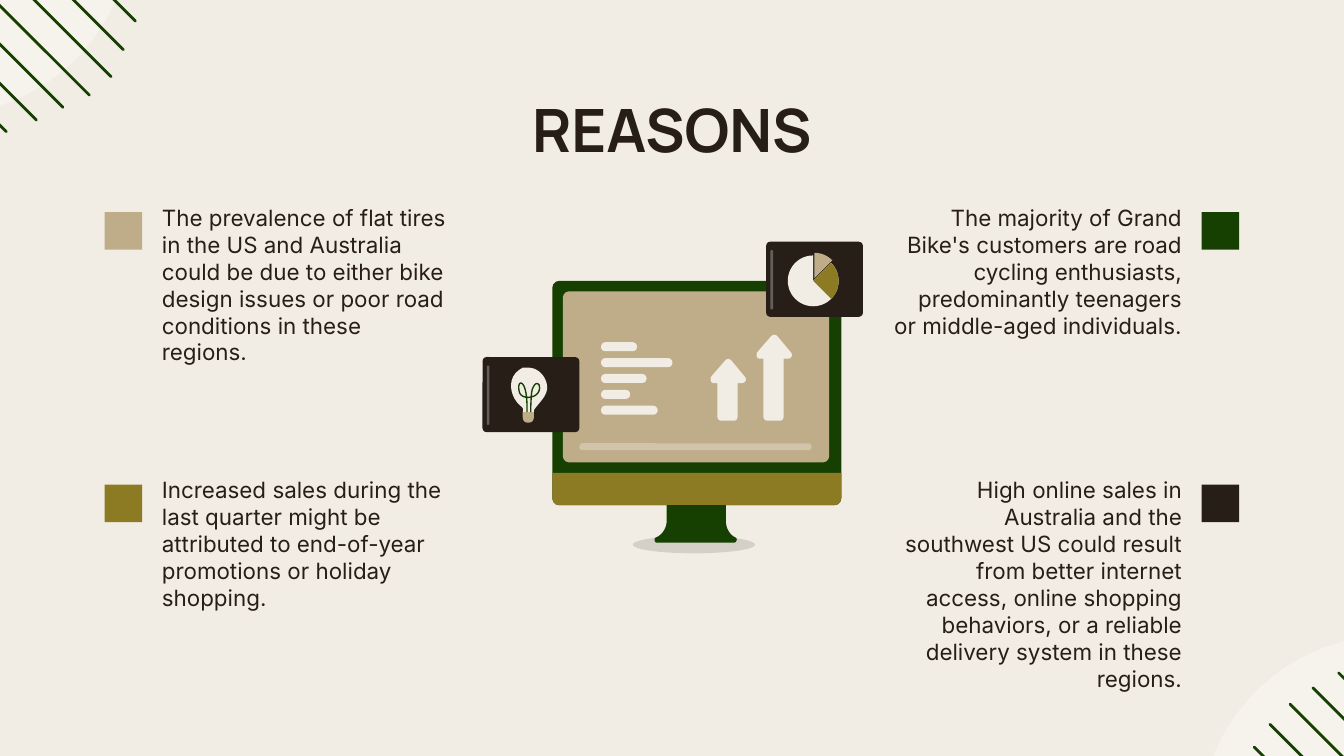
from math import cos, radians, sin

from lxml import etree
from pptx import Presentation
from pptx.dml.color import RGBColor
from pptx.enum.shapes import MSO_CONNECTOR, MSO_SHAPE
from pptx.enum.text import MSO_ANCHOR, PP_ALIGN
from pptx.oxml.ns import qn
from pptx.util import Cm, Pt

RECTANGLE, ROUNDED, OVAL = MSO_SHAPE.RECTANGLE, MSO_SHAPE.ROUNDED_RECTANGLE, MSO_SHAPE.OVAL
ROUND_BOTTOM = MSO_SHAPE.ROUND_2_SAME_RECTANGLE
STRAIGHT = MSO_CONNECTOR.STRAIGHT
LEFT, CENTER, RIGHT = PP_ALIGN.LEFT, PP_ALIGN.CENTER, PP_ALIGN.RIGHT
TOP, MIDDLE = MSO_ANCHOR.TOP, MSO_ANCHOR.MIDDLE

CREAM = RGBColor(0xF2, 0xED, 0xE4)
GREEN = RGBColor(0x15, 0x40, 0x01)
OLIVE = RGBColor(0x8C, 0x7B, 0x23)
TAN = RGBColor(0xBF, 0xAD, 0x8A)
DARK = RGBColor(0x26, 0x1E, 0x17)
WHITE = RGBColor(0xFF, 0xFF, 0xFF)
BLACK = RGBColor(0x00, 0x00, 0x00)

TITLE_FONT = {"name": "Manrope", "size": Pt(32), "bold": True}
BODY_FONT = {"name": "Inter", "size": Pt(12)}

STRIPES = [(0.56, 3.18, 4.34), (0.76, 2.59, 4.71), (1.02, 2.11, 4.95), (1.32, 1.68, 5.15),
           (1.7, 1.3, 5.18), (2.13, 0.99, 4.98), (2.62, 0.71, 4.72)]
BAR_WIDTHS = [0.68, 1.35, 0.86, 0.55, 1.07]
STAND = [(3.48, 5.28), (3.48, 4.98), (4.6, 4.98), (4.6, 5.28),
         (4.6, 5.41, 4.67, 5.54, 4.78, 5.59), (4.83, 5.61, 4.8, 5.69, 4.75, 5.69),
         (3.3, 5.69), (3.25, 5.69, 3.23, 5.61, 3.28, 5.59), (3.4, 5.54, 3.48, 5.41, 3.48, 5.28)]
BULB = [(0.86, 0.2), (0.84, 0.2, 0.79, 0.2, 0.76, 0.2), (0.41, 0.38, 0.53, 0.79, 0.74, 0.94),
        (0.79, 0.99, 0.76, 1.04, 0.76, 1.04), (0.97, 1.04),
        (0.94, 0.97, 1.19, 0.81, 1.22, 0.61), (1.24, 0.43, 1.09, 0.2, 0.86, 0.2)]
BULB_BASE = [(0.97, 1.04), (0.97, 1.14, 0.99, 1.24, 0.86, 1.24),
             (0.74, 1.24, 0.76, 1.12, 0.76, 1.04)]
FILAMENT = [(0.91, 1.04), (0.91, 1.04, 0.91, 0.71, 0.94, 0.61),
            (0.97, 0.53, 1.02, 0.46, 1.07, 0.53), (1.14, 0.79, 0.71, 0.84, 0.69, 0.64),
            (0.64, 0.41, 0.86, 0.38, 0.84, 1.04)]
REASONS = [
    (1.98, 3.61, TAN, LEFT, "The prevalence of flat tires in the US and Australia could be due to "
     "either bike design issues or poor road conditions in these regions."),
    (1.98, 8.76, OLIVE, LEFT, "Increased sales during the last quarter might be attributed to "
     "end-of-year promotions or holiday shopping."),
    (16.64, 3.61, GREEN, RIGHT, "The majority of Grand Bike's customers are road cycling "
     "enthusiasts, predominantly teenagers or middle-aged individuals."),
    (16.64, 8.76, DARK, RIGHT, "High online sales in Australia and the southwest US could result "
     "from better internet access, online shopping behaviors, or a reliable delivery system in "
     "these regions."),
]


def paint(shape, color, opacity=None):
    """Give a shape a plain fill with no line or shadow."""
    shape.shadow.inherit = False
    shape.fill.solid()
    shape.fill.fore_color.rgb = color
    shape.line.fill.background()
    if opacity is not None:
        node = shape.fill._xPr.find(".//" + qn("a:srgbClr"))
        etree.SubElement(node, qn("a:alpha"), val=str(opacity * 1000))


def add_block(slide, kind, left, top, width, height, color, radius=0, opacity=None):
    """Add a filled preset shape with an optional corner radius."""
    shape = slide.shapes.add_shape(kind, Cm(left), Cm(top), Cm(width), Cm(height))
    paint(shape, color, opacity)
    ratio = radius / min(width, height)
    if kind == ROUNDED:
        shape.adjustments[0] = ratio
    elif kind == ROUND_BOTTOM:
        shape.adjustments[0], shape.adjustments[1] = 0, ratio


def flatten(outline, steps=12):
    """Turn points and cubic curve segments into a list of points."""
    points = [outline[0]]
    for segment in outline[1:]:
        if len(segment) == 2:
            points.append(segment)
            continue
        controls = [points[-1], segment[:2], segment[2:4], segment[4:]]
        for step in range(1, steps + 1):
            t = step / steps
            weights = [(1 - t) ** 3, 3 * t * (1 - t) ** 2, 3 * t * t * (1 - t), t ** 3]
            points.append(tuple(sum(w * c[axis] for w, c in zip(weights, controls))
                                for axis in (0, 1)))
    return points


def add_outline(slide, left, top, outline, color, closed=True):
    """Add an outline, filled when closed and stroked when open."""
    points = [(Cm(left + x), Cm(top + y)) for x, y in flatten(outline)]
    builder = slide.shapes.build_freeform(*points[0])
    builder.add_line_segments(points[1:], close=closed)
    shape = builder.convert_to_shape()
    paint(shape, color)
    if not closed:
        shape.fill.background()
        shape.line.color.rgb = color
        shape.line.width = Pt(0.75)


def add_text(slide, left, top, width, height, text, font, alignment, anchor):
    """Add a wrapped text box with one paragraph."""
    frame = slide.shapes.add_textbox(Cm(left), Cm(top), Cm(width), Cm(height)).text_frame
    frame.word_wrap = True
    frame.vertical_anchor = anchor
    for side in ("left", "top", "right", "bottom"):
        setattr(frame, f"margin_{side}", Cm(0.25))
    paragraph = frame.paragraphs[0]
    paragraph.alignment = alignment
    run = paragraph.add_run()
    run.text = text
    for name, value in font.items():
        setattr(run.font, name, value)
    run.font.color.rgb = DARK


def add_corner(slide, left, top, width, height, stripes):
    """Draw a pale disc crossed by diagonal stripes."""
    add_block(slide, OVAL, left, top, width, height, WHITE, opacity=36)
    for x, y, run in stripes:
        start_x, start_y = left + x, top + y
        stripe = slide.shapes.add_connector(
            STRAIGHT, Cm(start_x), Cm(start_y), Cm(start_x + run), Cm(start_y + run))
        stripe.line.color.rgb = GREEN
        stripe.line.width = Pt(1.5)
        stripe.line._get_or_add_ln().set("cap", "rnd")
        etree.SubElement(stripe._element.spPr, qn("a:effectLst"))


def add_reason(slide, left, top, width, color, alignment, text):
    """Place a colour marker on the outer side of a reason."""
    marker, gutter = 0.71, 0.83
    on_left = alignment == LEFT
    add_text(slide, left + gutter * on_left, top, width - gutter, 1.55,
             text, BODY_FONT, alignment, TOP)
    marker_left = left if on_left else left + width - marker
    add_block(slide, RECTANGLE, marker_left, top + 0.4, marker, marker, color)


def add_card(slide, left, top):
    """Draw a dark card with a glossy edge."""
    add_block(slide, ROUNDED, left, top, 1.83, 1.42, DARK, 0.08)
    add_block(slide, ROUNDED, left + 0.08, top + 0.16, 0.05, 1.12, WHITE, 0.02, 29)


def add_bulb_card(slide, left, top):
    """Draw a card holding a light bulb."""
    add_card(slide, left, top)
    add_outline(slide, left, top, BULB, CREAM)
    add_outline(slide, left, top, BULB_BASE, TAN)
    add_outline(slide, left, top, FILAMENT, GREEN, closed=False)


def add_pie_card(slide, left, top):
    """Draw a card holding a three-part pie."""
    add_card(slide, left, top)
    for x, y, start, end, color in [(0.91, 0.69, -90, -45, TAN), (0.89, 0.74, -45, 270, CREAM),
                                    (0.89, 0.74, -45, 45, OLIVE)]:
        arc = [(x + 0.48 * cos(radians(angle)), y + 0.48 * sin(radians(angle)))
               for angle in range(start, end + 1, 5)]
        add_outline(slide, left, top, [(x, y)] + arc, color)


def add_up_arrow(slide, left, top, height):
    """Draw a soft-cornered arrow pointing up."""
    foot = height - 0.08
    outline = [(0.66, 0.33), (0.41, 0.03), (0.38, 0, 0.33, 0, 0.3, 0.03), (0.04, 0.33),
               (0, 0.38, 0.02, 0.46, 0.08, 0.46), (0.15, 0.46), (0.15, foot),
               (0.15, height - 0.03, 0.18, height, 0.23, height), (0.46, height),
               (0.51, height, 0.53, height - 0.03, 0.53, foot), (0.53, 0.46), (0.61, 0.46),
               (0.69, 0.46, 0.71, 0.38, 0.66, 0.33)]
    add_outline(slide, left, top, outline, CREAM)


def add_monitor(slide, left, top):
    """Draw the monitor, its screen contents and two cards."""
    add_block(slide, OVAL, left + 2.84, top + 5.56, 2.31, 0.33, BLACK, opacity=12)
    add_block(slide, ROUNDED, left + 1.32, top + 0.74, 5.46, 4.24, GREEN, 0.13)
    add_block(slide, ROUND_BOTTOM, left + 1.32, top + 4.37, 5.46, 0.61, OLIVE, 0.13)
    add_outline(slide, left, top, STAND, GREEN)
    add_block(slide, ROUNDED, left + 1.52, top + 0.94, 5.03, 3.23, TAN, 0.11)
    for row, width in enumerate(BAR_WIDTHS):
        add_block(slide, ROUNDED, left + 2.24, top + 1.9 + 0.3 * row, width, 0.17, CREAM, 0.08)
    add_up_arrow(slide, left + 4.29, top + 2.21, 1.17)
    add_up_arrow(slide, left + 5.16, top + 1.75, 1.63)
    add_block(slide, ROUNDED, left + 1.83, top + 3.81, 4.39, 0.13, WHITE, 0.06, 29)
    add_bulb_card(slide, left, top + 2.18)
    add_pie_card(slide, left + 5.36, top)


def main():
    """Build and save the reasons slide."""
    presentation = Presentation()
    presentation.slide_width, presentation.slide_height = Cm(25.4), Cm(14.29)
    slide = presentation.slides.add_slide(presentation.slide_layouts[6])
    slide.background.fill.solid()
    slide.background.fill.fore_color.rgb = CREAM
    add_corner(slide, 22.68, 12.01, 7.26, 7.21, STRIPES[2:])
    add_corner(slide, -4.78, -5.03, 7.26, 7.21, STRIPES)
    add_text(slide, 1.98, 1.45, 21.44, 1.96, "REASONS", TITLE_FONT, CENTER, MIDDLE)
    for left, top, color, alignment, text in REASONS:
        add_reason(slide, left, top, 6.78, color, alignment, text)
    add_monitor(slide, 9.12, 4.57)
    presentation.save("out.pptx")


if __name__ == "__main__":
    main()
